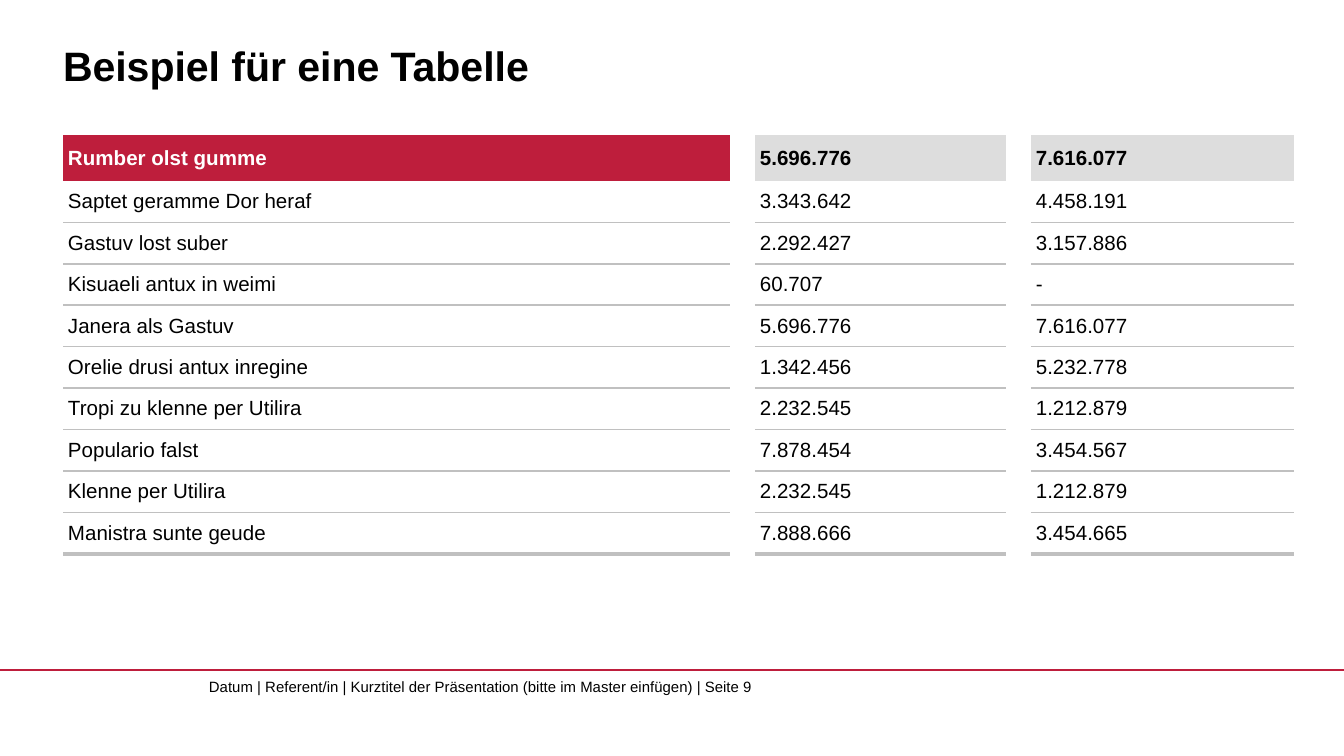
from lxml.etree import SubElement
from pptx import Presentation
from pptx.dml.color import RGBColor
from pptx.enum.shapes import MSO_CONNECTOR
from pptx.enum.text import MSO_ANCHOR, PP_ALIGN
from pptx.oxml import parse_xml
from pptx.oxml.ns import nsdecls, qn
from pptx.util import Pt

TITLE = "Beispiel für eine Tabelle"
FOOTER = "Datum | Referent/in | Kurztitel der Präsentation (bitte im Master einfügen) | Seite 9"
ROWS = [
    ("Rumber olst gumme", "5.696.776", "7.616.077"),
    ("Saptet geramme Dor heraf", "3.343.642", "4.458.191"),
    ("Gastuv lost suber", "2.292.427", "3.157.886"),
    ("Kisuaeli antux in weimi", "60.707", "-"),
    ("Janera als Gastuv", "5.696.776", "7.616.077"),
    ("Orelie drusi antux inregine", "1.342.456", "5.232.778"),
    ("Tropi zu klenne per Utilira", "2.232.545", "1.212.879"),
    ("Populario falst", "7.878.454", "3.454.567"),
    ("Klenne per Utilira", "2.232.545", "1.212.879"),
    ("Manistra sunte geude", "7.888.666", "3.454.665"),
]
COLORS = {"red": "BE1E3C", "gray": "DDDDDD", "rule": "C0C0C0",
          "black": "000000", "white": "FFFFFF"}
FONT = "Arial"
WIDTH, HEIGHT = 1344, 756
LEFT, TOP = 63, 135
COLS = [667, 25, 251, 25, 263]  # every second column is a gap
HEAD, BODY = 46, 373
PLAIN = "{2D5ABB26-0587-4C30-8999-92F81FD0307C}"  # no style, no grid


def px(n):
    return round(n * 914400 / 134.4)


def color(name):
    return RGBColor.from_string(COLORS[name])


def write(frame, text, size, tint="black", bold=False):
    frame.text = text
    font = frame.paragraphs[0].runs[0].font
    font.name, font.size, font.bold = FONT, Pt(size), bold
    font.color.rgb = color(tint)


def clear(frame):
    frame.margin_left = frame.margin_right = 0
    frame.margin_top = frame.margin_bottom = 0
    frame.word_wrap = True


def border(cell, sides):
    """Draw the given (tag, points) sides; they must precede the cell's fill."""
    props = cell._tc.get_or_add_tcPr()
    for i, (tag, width) in enumerate(sides):
        props.insert(i, parse_xml(
            f'<a:{tag} {nsdecls("a")} w="{Pt(width)}"><a:solidFill>'
            f'<a:srgbClr val="{COLORS["rule"]}"/></a:solidFill></a:{tag}>'))


def fill_cell(cell, r, c):
    cell.margin_left = cell.margin_right = px(5)
    cell.margin_top = cell.margin_bottom = px(4)
    cell.vertical_anchor = MSO_ANCHOR.MIDDLE
    cell.fill.background()
    para = cell.text_frame.paragraphs[0]
    if c % 2:
        SubElement(para._p, qn("a:endParaRPr")).set("sz", "1100")
        return
    head, first = r == 0, c == 0
    write(cell.text_frame, ROWS[r][c // 2], 11,
          "white" if head and first else "black", head)
    para.space_before = Pt(2.2)
    para.alignment = PP_ALIGN.LEFT if first else PP_ALIGN.RIGHT
    if head:
        cell.fill.solid()
        cell.fill.fore_color.rgb = color("red" if first else "gray")
    else:
        above = [("lnT", 1)] if r > 1 else []
        border(cell, above + [("lnB", 2.25 if r == len(ROWS) - 1 else 1)])


def add_grid(slide):
    frame = slide.shapes.add_table(len(ROWS), len(COLS), px(LEFT), px(TOP),
                                   px(sum(COLS)), px(HEAD + BODY))
    table = frame.table
    table.first_row = table.horz_banding = False
    table._tbl.tblPr.find(qn("a:tableStyleId")).text = PLAIN
    for col, width in zip(table.columns, COLS):
        col.width = px(width)
    for r, row in enumerate(table.rows):
        row.height = px(BODY / (len(ROWS) - 1) if r else HEAD)
        for c, cell in enumerate(row.cells):
            fill_cell(cell, r, c)


def add_footer(slide):
    line = slide.shapes.add_connector(MSO_CONNECTOR.STRAIGHT, 0, px(670), px(WIDTH), px(670))
    line.line.color.rgb = color("red")
    line.line.width = Pt(0.75)
    SubElement(line._element.spPr, qn("a:effectLst"))
    box = slide.shapes.add_textbox(px(209), px(678), px(654), px(36))
    clear(box.text_frame)
    write(box.text_frame, FOOTER, 8)


def main():
    deck = Presentation()
    deck.slide_width, deck.slide_height = px(WIDTH), px(HEIGHT)
    slide = deck.slides.add_slide(deck.slide_layouts[5])
    add_footer(slide)
    title = slide.shapes.title
    title.left, title.top, title.width, title.height = map(px, (LEFT, 12, sum(COLS), 78))
    clear(title.text_frame)
    title.text_frame.vertical_anchor = MSO_ANCHOR.BOTTOM
    write(title.text_frame, TITLE, 22, bold=True)
    title.text_frame.paragraphs[0].alignment = PP_ALIGN.LEFT
    add_grid(slide)
    deck.save("out.pptx")


if __name__ == "__main__":
    main()
